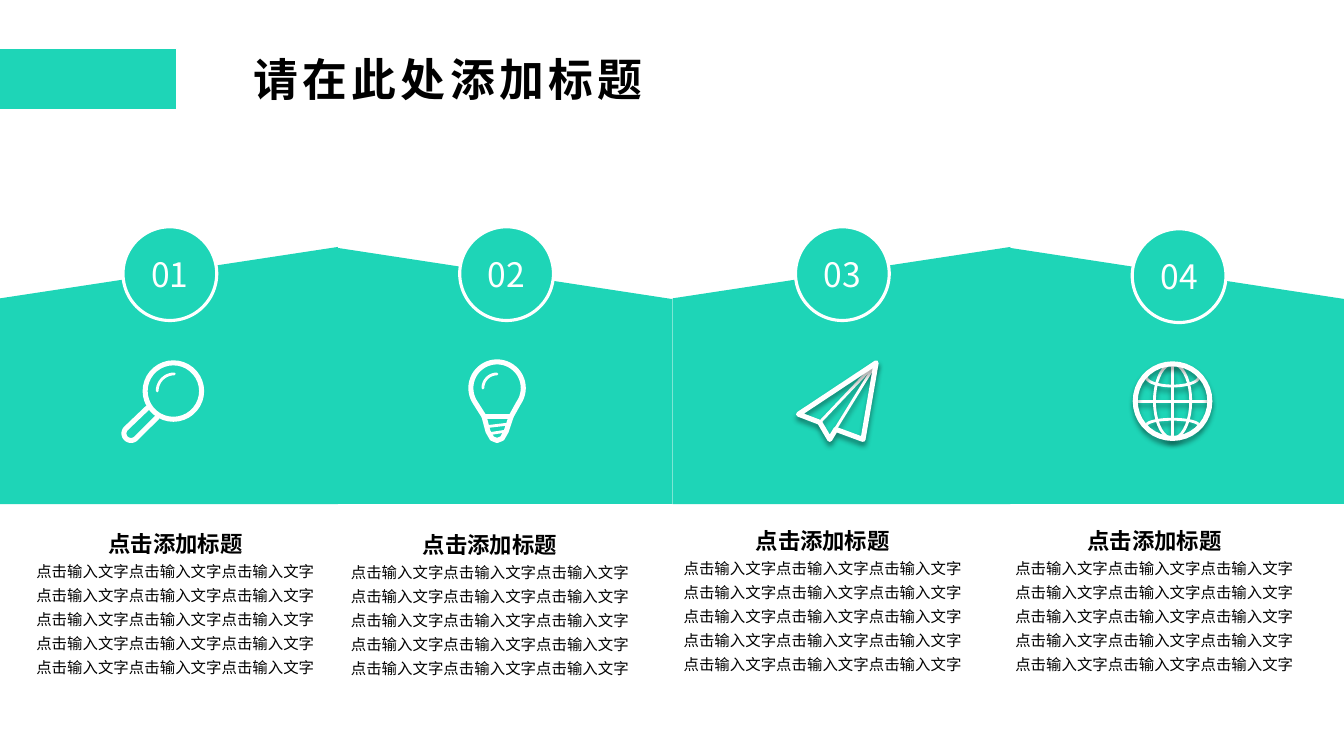
from math import cos, sin, radians
from lxml import etree
from pptx import Presentation
from pptx.dml.color import RGBColor
from pptx.enum.shapes import MSO_SHAPE as Kind
from pptx.enum.text import MSO_ANCHOR as Anchor, PP_ALIGN as Align
from pptx.oxml import parse_xml
from pptx.oxml.ns import nsdecls, qn
from pptx.util import Inches, Pt

TEAL = RGBColor(0x1E, 0xD5, 0xB7)
WHITE = RGBColor(0xFF, 0xFF, 0xFF)
BLACK = RGBColor(0, 0, 0)
FONT = "Noto Sans CJK SC"
SHADE = (
    f'<a:effectLst {nsdecls("a")}><a:outerShdw blurRad="50800" dist="38100" '
    'dir="5400000" algn="t" rotWithShape="0"><a:srgbClr val="000000">'
    '<a:alpha val="40000"/></a:srgbClr></a:outerShdw></a:effectLst>'
)


def style(par, size, color, bold=False):
    for run in par.runs:
        font = run.font
        font.name, font.size, font.bold = FONT, Pt(size), bold
        font.color.rgb = color
        etree.SubElement(font._element, qn("a:ea")).set("typeface", FONT)


def arc(x, y, wide, high, start, end):
    steps = 36
    turns = [radians(start + (end - start) * i / steps) for i in range(steps + 1)]
    return [(x + wide * cos(t), y + high * sin(t)) for t in turns]


prs = Presentation()
prs.slide_width, prs.slide_height = Inches(13.33), Inches(7.5)
slide = prs.slides.add_slide(prs.slide_layouts[6])
shapes = slide.shapes
slide.background.fill.solid()
slide.background.fill.fore_color.rgb = WHITE

# Title
box = shapes.add_textbox(Inches(2.42), Inches(0.47), Inches(4.93), Inches(0.61))
frame = box.text_frame
frame.word_wrap = True
frame.vertical_anchor = Anchor.MIDDLE
frame.text = "请在此处添加标题"
style(frame.paragraphs[0], 32, BLACK, True)
frame.paragraphs[0].runs[0].font._element.set("spc", "300")

# Sloped panels, every second one mirrored
panels = [(0, 2.45, 3.35, 2.55), (3.35, 2.46, 3.32, 2.54),
          (6.67, 2.45, 3.35, 2.55), (10.02, 2.46, 3.32, 2.54)]
for i, place in enumerate(panels):
    panel = shapes.add_shape(Kind.FLOWCHART_MANUAL_INPUT, *map(Inches, place))
    panel.shadow.inherit = False
    panel.fill.solid()
    panel.fill.fore_color.rgb = TEAL
    panel.line.fill.background()
    if i % 2:
        panel.element.spPr.get_or_add_xfrm().set("flipH", "1")

# Number badges
for i, (x, y) in enumerate([(1.22, 2.25), (4.56, 2.25), (7.89, 2.25), (11.23, 2.27)]):
    badge = shapes.add_shape(Kind.OVAL, Inches(x), Inches(y), Inches(0.93), Inches(0.93))
    badge.shadow.inherit = False
    badge.fill.solid()
    badge.fill.fore_color.rgb = TEAL
    badge.line.color.rgb = WHITE
    badge.line.width = Pt(2.25)
    frame = badge.text_frame
    frame.vertical_anchor = Anchor.MIDDLE
    frame.text = f"{i + 1:02}"
    frame.paragraphs[0].alignment = Align.CENTER
    style(frame.paragraphs[0], 24, WHITE)

# Icon strokes: line width, shadow, then (points, closed) for each stroke
tip = (8.69, 3.6)
icons = [
    # Globe
    (2, True, [
        ([(11.26, 3.98), (12.01, 3.98)], False),
        ([(11.63, 3.61), (11.63, 4.35)], False),
        (arc(11.63, 3.98, 0.18, 0.37, 0, 360), True),
        (arc(11.63, 3.74, 0.26, 0.09, 0, 180), False),
        (arc(11.63, 4.22, 0.26, 0.06, 180, 360), False)]),
    (3.6, True, [(arc(11.63, 3.98, 0.37, 0.37, 0, 360), True)]),
    # Paper plane
    (2, True, [([tip, (8.14, 4.18)], False), ([tip, (8.29, 4.25)], False)]),
    (3.6, True, [([tip, (7.92, 4.11), (8.13, 4.19), (8.23, 4.36),
                   (8.29, 4.26), (8.56, 4.36)], True)]),
    # Light bulb
    (2, False, [
        ([(4.85, 4.23), (5.02, 4.21)], False),
        ([(4.87, 4.3), (5, 4.28)], False),
        (arc(4.93, 3.85, 0.14, 0.14, 180, 270), False)]),
    (3.6, False, [
        (arc(4.93, 3.85, 0.26, 0.26, 145, 395)
         + [(5.07, 4.13), (5.02, 4.28), (4.98, 4.35), (4.93, 4.37),
            (4.88, 4.35), (4.84, 4.28), (4.8, 4.13)], True),
        ([(4.8, 4.13), (5.07, 4.13)], False)]),
    # Magnifier
    (2, False, [(arc(1.73, 3.88, 0.17, 0.17, 180, 270), False)]),
    (3.6, False, [
        (arc(1.72, 3.88, 0.28, 0.28, 0, 360), True),
        ([(1.46, 4.05)] + arc(1.3, 4.3, 0.07, 0.07, 225, 45) + [(1.56, 4.14)], False)]),
]
for width, shade, strokes in icons:
    pen = None
    for points, closed in strokes:
        dots = [(Inches(x), Inches(y)) for x, y in points]
        if pen is None:
            pen = shapes.build_freeform(*dots[0])
        else:
            pen.move_to(*dots[0])
        pen.add_line_segments(dots[1:], close=closed)
    icon = pen.convert_to_shape()
    icon.fill.background()
    icon.line.color.rgb = WHITE
    icon.line.width = Pt(width)
    line = icon.line._get_or_add_ln()
    line.set("cap", "rnd")
    etree.SubElement(line, qn("a:round"))
    icon.shadow.inherit = False
    if shade:
        props = icon.element.spPr
        props.replace(props.find(qn("a:effectLst")), parse_xml(SHADE))

# Captions
for x, y in [(0.25, 5.13), (3.37, 5.14), (6.67, 5.1), (9.96, 5.1)]:
    box = shapes.add_textbox(Inches(x), Inches(y), Inches(2.98), Inches(2.14))
    frame = box.text_frame
    frame.word_wrap = True
    frame.text = "点击添加标题\n" + "点击输入文字" * 15
    for par, size, bold in zip(frame.paragraphs, (16, 11), (True, False)):
        par.alignment = Align.CENTER
        par.line_spacing = 1.3
        style(par, size, BLACK, bold)

# Accent bar
bar = shapes.add_shape(Kind.RECTANGLE, Inches(-0.03), Inches(0.48), Inches(1.78), Inches(0.61))
bar.shadow.inherit = False
bar.fill.solid()
bar.fill.fore_color.rgb = TEAL
bar.line.color.rgb = WHITE
bar.line.width = Pt(1)

prs.save("out.pptx")
